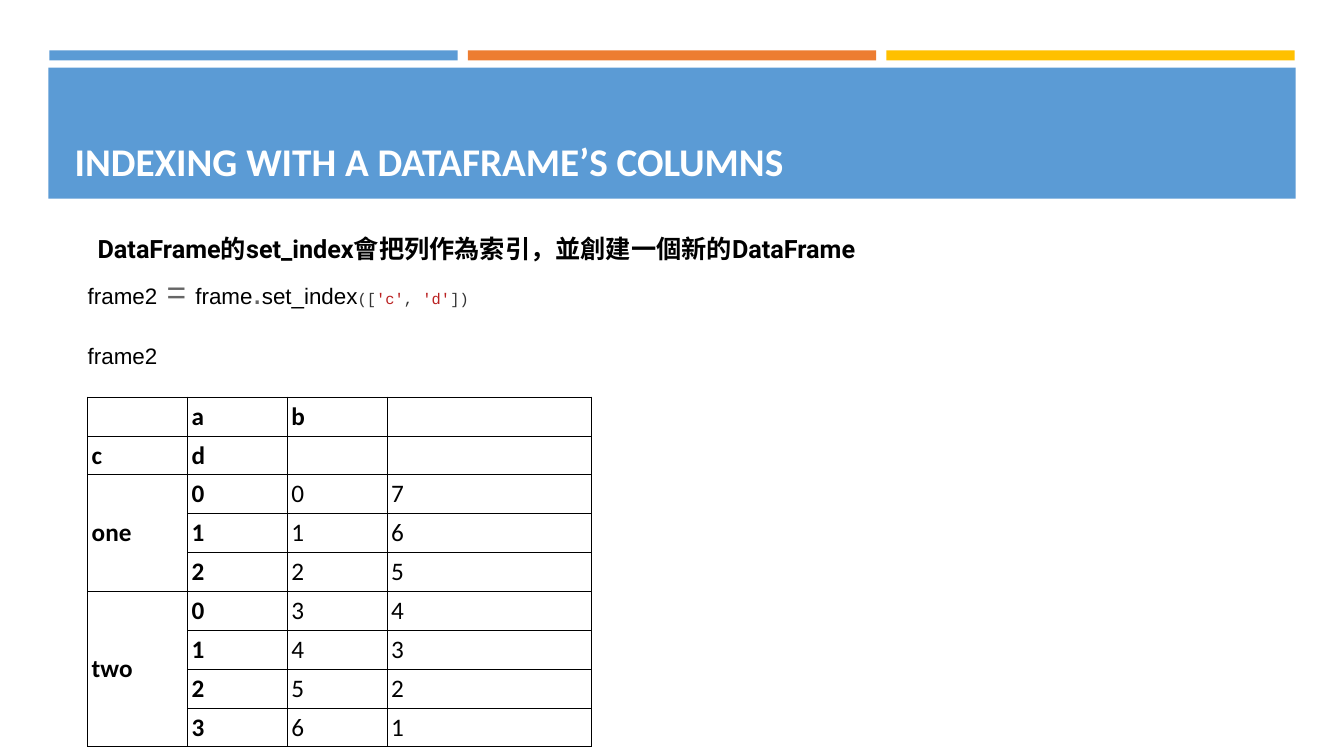
from dataclasses import dataclass

from lxml.etree import SubElement
from pptx import Presentation
from pptx.dml.color import RGBColor
from pptx.enum.shapes import MSO_SHAPE
from pptx.enum.text import MSO_ANCHOR as Anchor, PP_ALIGN as Align
from pptx.oxml.ns import qn
from pptx.slide import Slide
from pptx.table import _Cell as Cell
from pptx.text.text import TextFrame, _Paragraph as Paragraph
from pptx.util import Inches, Pt

BLUE = RGBColor(0x5B, 0x9B, 0xD5)
ORANGE = RGBColor(0xED, 0x7D, 0x31)
GOLD = RGBColor(0xFF, 0xC0, 0x00)
WHITE = RGBColor(0xFF, 0xFF, 0xFF)
BLACK = RGBColor(0x00, 0x00, 0x00)
DARK_GRAY = RGBColor(0x33, 0x33, 0x33)
GRAY = RGBColor(0x66, 0x66, 0x66)
RED = RGBColor(0xBA, 0x21, 0x21)


@dataclass(frozen=True)
class Style:
    font: str
    size: float
    color: RGBColor
    bold: bool = False


@dataclass(frozen=True)
class Bar:
    left: float
    top: float
    width: float
    height: float
    color: RGBColor


TITLE = Style("Calibri", 28, WHITE, True)
LEAD = Style("Roboto", 18, BLACK, True)
NAME = Style("Arial", 16, BLACK)
OPERATOR = Style("Arial", 24, GRAY)
PUNCTUATION = Style("Courier New", 11, DARK_GRAY)
STRING = Style("Courier New", 11, RED)
LABEL = Style("Calibri", 18, BLACK, True)
VALUE = Style("Calibri", 18, BLACK)

BARS = [
    *(Bar(0.49 + 4.15 * index, 0.5, 4.05, 0.1, color)
      for index, color in enumerate((BLUE, ORANGE, GOLD))),
    Bar(0.48, 0.67, 12.37, 1.3, BLUE),
]

CODE_LINES = [
    [("frame2", NAME), (" ", PUNCTUATION), ("=", OPERATOR), (" ", PUNCTUATION),
     ("frame", NAME), (".", OPERATOR), ("set_index", NAME),
     ("([", PUNCTUATION), ("'c'", STRING), (", ", PUNCTUATION),
     ("'d'", STRING), ("])", PUNCTUATION)],
    [("frame2", NAME)],
]

HEADER_ROWS = 2
INDEX_COLUMNS = 2
COLUMN_WIDTHS = (0.99, 0.99, 0.99, 2.03)
ROWS = [
    ("", "a", "b", ""),
    ("c", "d", "", ""),
    ("one", "0", "0", "7"),
    ("", "1", "1", "6"),
    ("", "2", "2", "5"),
    ("two", "0", "3", "4"),
    ("", "1", "4", "3"),
    ("", "2", "5", "2"),
    ("", "3", "6", "1"),
]
MERGED_ROWS = ((2, 4), (5, 8))


def add_span(para: Paragraph, text: str, style: Style) -> None:
    span = para.add_run()
    span.text = text
    span.font.name = style.font
    span.font.size = Pt(style.size)
    span.font.bold = style.bold
    span.font.color.rgb = style.color


def add_bar(page: Slide, bar: Bar) -> None:
    box = page.shapes.add_shape(
        MSO_SHAPE.RECTANGLE, Inches(bar.left), Inches(bar.top),
        Inches(bar.width), Inches(bar.height))
    box.shadow.inherit = False
    box.fill.solid()
    box.fill.fore_color.rgb = bar.color
    box.line.fill.background()


def add_title(page: Slide) -> None:
    title = page.shapes.title
    title.left, title.top = Inches(0.64), Inches(0.77)
    title.width, title.height = Inches(12.06), Inches(1.11)
    title.text_frame.vertical_anchor = Anchor.BOTTOM
    para = title.text_frame.paragraphs[0]
    para.alignment = Align.LEFT
    add_span(para, "INDEXING WITH A DATAFRAME’S COLUMNS", TITLE)
    page.shapes._spTree.append(title._element)


def add_text_box(page: Slide, top: float, width: float, height: float) -> TextFrame:
    box = page.shapes.add_textbox(
        Inches(0.87), Inches(top), Inches(width), Inches(height))
    box.text_frame.word_wrap = True
    return box.text_frame


def add_code(page: Slide) -> None:
    frame = add_text_box(page, 2.68, 3.82, 0.99)
    frame.vertical_anchor = Anchor.MIDDLE
    frame.margin_left = frame.margin_right = 0
    frame.margin_top = frame.margin_bottom = 0
    for index, line in enumerate(CODE_LINES):
        para = frame.add_paragraph() if index else frame.paragraphs[0]
        para.space_before = Pt(22 if index else 0)
        for text, style in line:
            add_span(para, text, style)


def format_cell(cell: Cell) -> None:
    cell.vertical_anchor = Anchor.MIDDLE
    cell.margin_left = cell.margin_right = Inches(0.04)
    cell.margin_top = cell.margin_bottom = Inches(0.04)
    properties = cell._tc.get_or_add_tcPr()
    for side in ("lnL", "lnR", "lnT", "lnB"):
        border = SubElement(properties, qn(f"a:{side}"), w=str(Pt(0.75)))
        fill = SubElement(border, qn("a:solidFill"))
        SubElement(fill, qn("a:srgbClr"), val=str(BLACK))
    cell.fill.solid()
    cell.fill.fore_color.rgb = WHITE


def add_frame_table(page: Slide) -> None:
    table = page.shapes.add_table(
        len(ROWS), len(COLUMN_WIDTHS), Inches(0.87), Inches(3.94),
        Inches(sum(COLUMN_WIDTHS)), Inches(3.47)).table
    table.first_row = table.horz_banding = False
    for column, width in zip(table.columns, COLUMN_WIDTHS):
        column.width = Inches(width)
    for row, texts in enumerate(ROWS):
        for column, text in enumerate(texts):
            cell = table.cell(row, column)
            format_cell(cell)
            if text:
                is_label = row < HEADER_ROWS or column < INDEX_COLUMNS
                add_span(cell.text_frame.paragraphs[0], text,
                         LABEL if is_label else VALUE)
    for first, last in MERGED_ROWS:
        table.cell(first, 0).merge(table.cell(last, 0))


def main() -> None:
    deck = Presentation()
    deck.slide_width, deck.slide_height = Inches(13.33), Inches(7.5)
    page = deck.slides.add_slide(deck.slide_layouts.get_by_name("Title Only"))
    for bar in BARS:
        add_bar(page, bar)
    add_title(page)
    lead = add_text_box(page, 2.27, 10.64, 0.4)
    add_span(lead.paragraphs[0],
             "DataFrame的set_index會把列作為索引，並創建一個新的DataFrame", LEAD)
    add_code(page)
    add_frame_table(page)
    deck.save("out.pptx")


if __name__ == "__main__":
    main()
